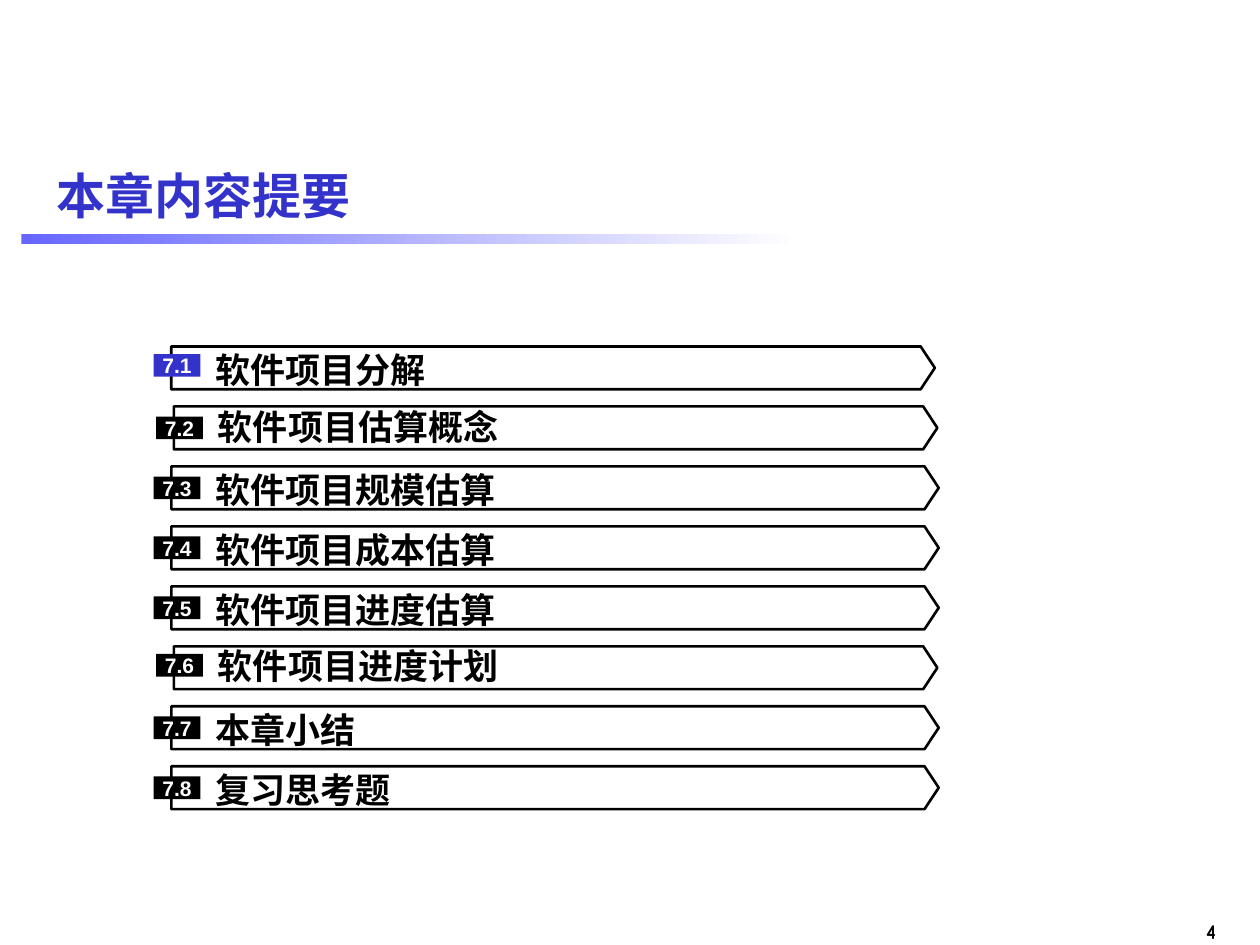
"""Build the chapter outline slide on a grid of 100 columns by 75 rows."""
import pptx
import pptx.util
import pptx.dml.color
import pptx.enum.shapes
import pptx.enum.text

BLUE = pptx.dml.color.RGBColor(0x33, 0x33, 0xCC)
PALE = pptx.dml.color.RGBColor(0x66, 0x66, 0xFF)
BLACK = pptx.dml.color.RGBColor(0, 0, 0)
WHITE = pptx.dml.color.RGBColor(255, 255, 255)
FORM = pptx.enum.shapes.MSO_SHAPE
ALIGN = pptx.enum.text.PP_ALIGN
MIDDLE = pptx.enum.text.MSO_ANCHOR.MIDDLE

deck = pptx.Presentation()
deck.slide_width = pptx.util.Inches(10)
deck.slide_height = pptx.util.Inches(7.5)
COL = deck.slide_width / 100
ROW = deck.slide_height / 75
slide = deck.slides.add_slide(deck.slide_layouts[6])


def add(form, left, top, width, height):
    place = [round(n) for n in (left * COL, top * ROW, width * COL, height * ROW)]
    if form is None:
        return slide.shapes.add_textbox(*place)
    shape = slide.shapes.add_shape(form, *place)
    shape.shadow.inherit = False
    return shape


def write(shape, text, size, face, color, align=ALIGN.LEFT, inset=0, wrap=True):
    frame = shape.text_frame
    frame.text = text
    frame.word_wrap = wrap
    frame.vertical_anchor = MIDDLE
    frame.margin_left = frame.margin_right = round(inset * COL)
    frame.margin_top = frame.margin_bottom = round(inset * ROW / 2)
    line = frame.paragraphs[0]
    line.alignment = align
    font = line.runs[0].font
    font.size = pptx.util.Pt(size)
    font.name = face
    font.bold = True
    font.color.rgb = color


page = add(None, 92, 72.4, 5.5, 3)
write(page, "4", 12, "Comic Neue", BLACK, ALIGN.RIGHT, 1, False)

rule = add(FORM.RECTANGLE, 1.7, 18.6, 61.7, 0.8)
rule.line.fill.background()
rule.fill.gradient()
rule.fill.gradient_angle = 0
for stop, color in zip(rule.fill.gradient_stops, (PALE, WHITE)):
    stop.color.rgb = color

title = add(None, 3.5, 11.5, 94.5, 7.9)
write(title, "本章内容提要", 28, "Arial", BLUE, inset=1)

FIRST, PITCH, HIGH = 27.5, 4.76, 3.4
topics = [
    ("软件项目分解", 0, 74.2, 0.1, 0.6),
    ("软件项目估算概念", 0.2, 74.4, -0.1, 0.8),
    ("软件项目规模估算", 0, 74.5, 0.1, 0.8),
    ("软件项目成本估算", 0, 74.5, 0.1, 0.8),
    ("软件项目进度估算", 0, 74.5, 0.1, 0.8),
    ("软件项目进度计划", 0.2, 74.4, -0.2, 0.6),
    ("本章小结", 0, 74.5, 0.1, 0.8),
    ("复习思考题", 0, 74.5, 0.1, 0.8),
]
for i, (topic, shift, right, drop, low) in enumerate(topics):
    top = FIRST + i * PITCH
    left = 13.6 + shift
    arrow = add(FORM.PENTAGON, left, top, right - left, HIGH)
    arrow.adjustments[0] = 0.33
    arrow.fill.background()
    arrow.line.color.rgb = BLACK
    arrow.line.width = pptx.util.Pt(1.5)

    label = add(None, left + 3.5, top + drop, 53.3, HIGH)
    write(label, topic, 20, "Times New Roman", BLACK)

    badge = add(FORM.RECTANGLE, left - 1.4, top + low, 3.7, 1.8)
    badge.fill.solid()
    badge.fill.fore_color.rgb = BLACK if i else BLUE
    badge.line.fill.background()
    write(badge, f"7.{i + 1}", 12, "Arial", WHITE, ALIGN.CENTER)

deck.save("out.pptx")
